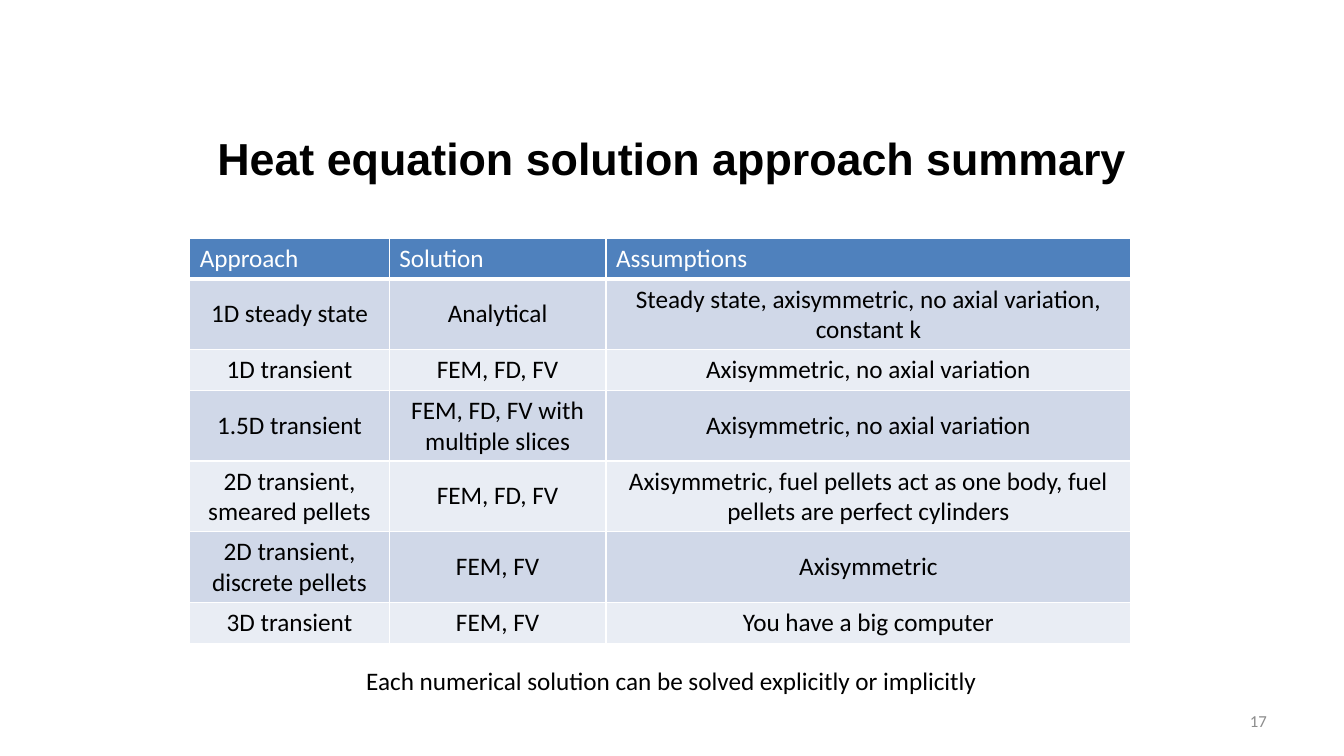
"""Build the slide that summarises heat equation solution approaches."""
import pptx
import pptx.dml.color
import pptx.enum.text
import pptx.util
from lxml import etree
from pptx.oxml.ns import qn
from pptx.util import Cm

COLOURS = {
    "black": "000000",
    "white": "FFFFFF",
    "grey": "8C8C8C",
    "header": "4F81BD",
    "odd row": "D0D8E8",
    "even row": "E9EDF4",
}
ALIGN = pptx.enum.text.PP_ALIGN
ANCHOR = pptx.enum.text.MSO_ANCHOR
COLUMN_WIDTHS = (5.03, 5.46, 13.23)
ROW_HEIGHT = 1.03
APPROACHES = (
    ("Approach", "Solution", "Assumptions"),
    ("1D steady state", "Analytical",
     "Steady state, axisymmetric, no axial variation, constant k"),
    ("1D transient", "FEM, FD, FV", "Axisymmetric, no axial variation"),
    ("1.5D transient", "FEM, FD, FV with multiple slices",
     "Axisymmetric, no axial variation"),
    ("2D transient, smeared pellets", "FEM, FD, FV",
     "Axisymmetric, fuel pellets act as one body, fuel pellets are perfect cylinders"),
    ("2D transient, discrete pellets", "FEM, FV", "Axisymmetric"),
    ("3D transient", "FEM, FV", "You have a big computer"),
)


def rgb(name):
    return pptx.dml.color.RGBColor.from_string(COLOURS[name])


def write(frame, text, size, colour, align, font="Calibri", bold=False):
    frame.text = text
    para = frame.paragraphs[0]
    para.alignment = align
    span = para.runs[0]
    span.font.name = font
    span.font.size = pptx.util.Pt(size)
    span.font.bold = bold
    span.font.color.rgb = rgb(colour)


def add_text(slide, place, text, size, colour="black", align=ALIGN.CENTER,
             anchor=ANCHOR.MIDDLE, **style):
    box = slide.shapes.add_textbox(*map(Cm, place))
    box.text_frame.word_wrap = True
    box.text_frame.vertical_anchor = anchor
    write(box.text_frame, text, size, colour, align, **style)


def add_borders(cell, bottom_width):
    properties = cell._tc.get_or_add_tcPr()
    for side, width in (("L", 1), ("R", 1), ("T", 1), ("B", bottom_width)):
        line = etree.SubElement(properties, qn(f"a:ln{side}"), w=str(pptx.util.Pt(width)))
        fill = etree.SubElement(line, qn("a:solidFill"))
        etree.SubElement(fill, qn("a:srgbClr"), val=COLOURS["white"])


def style_cell(cell, text, row):
    header = row == 0
    add_borders(cell, 3 if header else 1)
    cell.fill.solid()
    cell.fill.fore_color.rgb = rgb("header" if header else "odd row" if row % 2 else "even row")
    cell.vertical_anchor = ANCHOR.TOP if header else ANCHOR.MIDDLE
    write(cell.text_frame, text, 18, "white" if header else "black",
          ALIGN.LEFT if header else ALIGN.CENTER)


def add_approach_table(slide, left, top):
    table = slide.shapes.add_table(
        len(APPROACHES), len(COLUMN_WIDTHS), Cm(left), Cm(top),
        Cm(sum(COLUMN_WIDTHS)), Cm(ROW_HEIGHT * len(APPROACHES))).table
    for column, width in zip(table.columns, COLUMN_WIDTHS):
        column.width = Cm(width)
    for row, texts in enumerate(APPROACHES):
        table.rows[row].height = Cm(ROW_HEIGHT)
        for column, text in enumerate(texts):
            style_cell(table.cell(row, column), text, row)


def main():
    deck = pptx.Presentation()
    deck.slide_width, deck.slide_height = Cm(33.87), Cm(19.05)
    slide = deck.slides.add_slide(deck.slide_layouts[6])
    add_text(slide, (1.7, 2.5, 30.48, 2.96), "Heat equation solution approach summary",
             32, font="Arial", bold=True)
    add_text(slide, (24.28, 17.66, 7.9, 1.01), "17", 12, "grey", ALIGN.RIGHT)
    add_approach_table(slide, 4.78, 6)
    add_text(slide, (7.65, 16.64, 18.54, 1.03),
             "Each numerical solution can be solved explicitly or implicitly",
             18, anchor=ANCHOR.TOP)
    deck.save("out.pptx")


if __name__ == "__main__":
    main()
